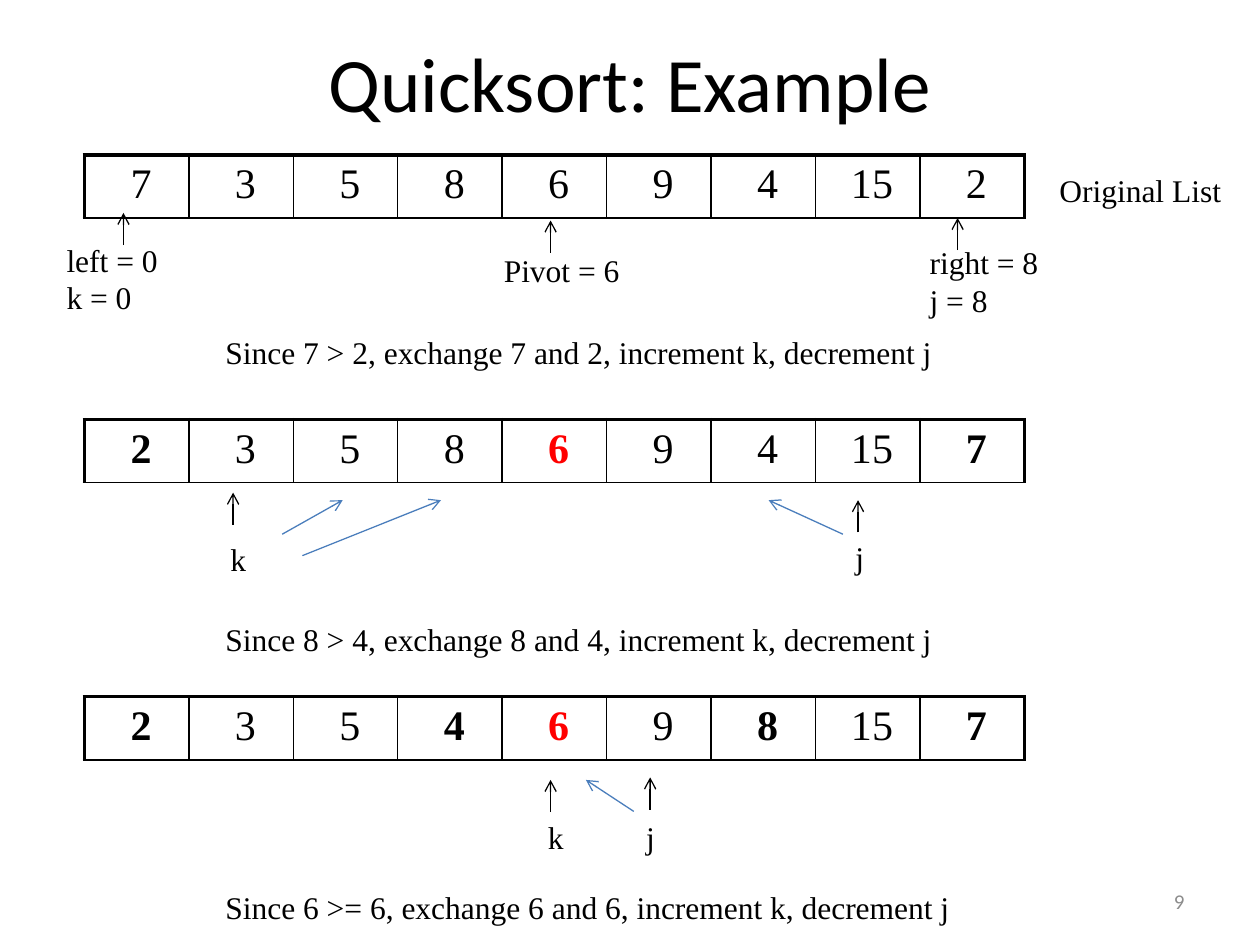
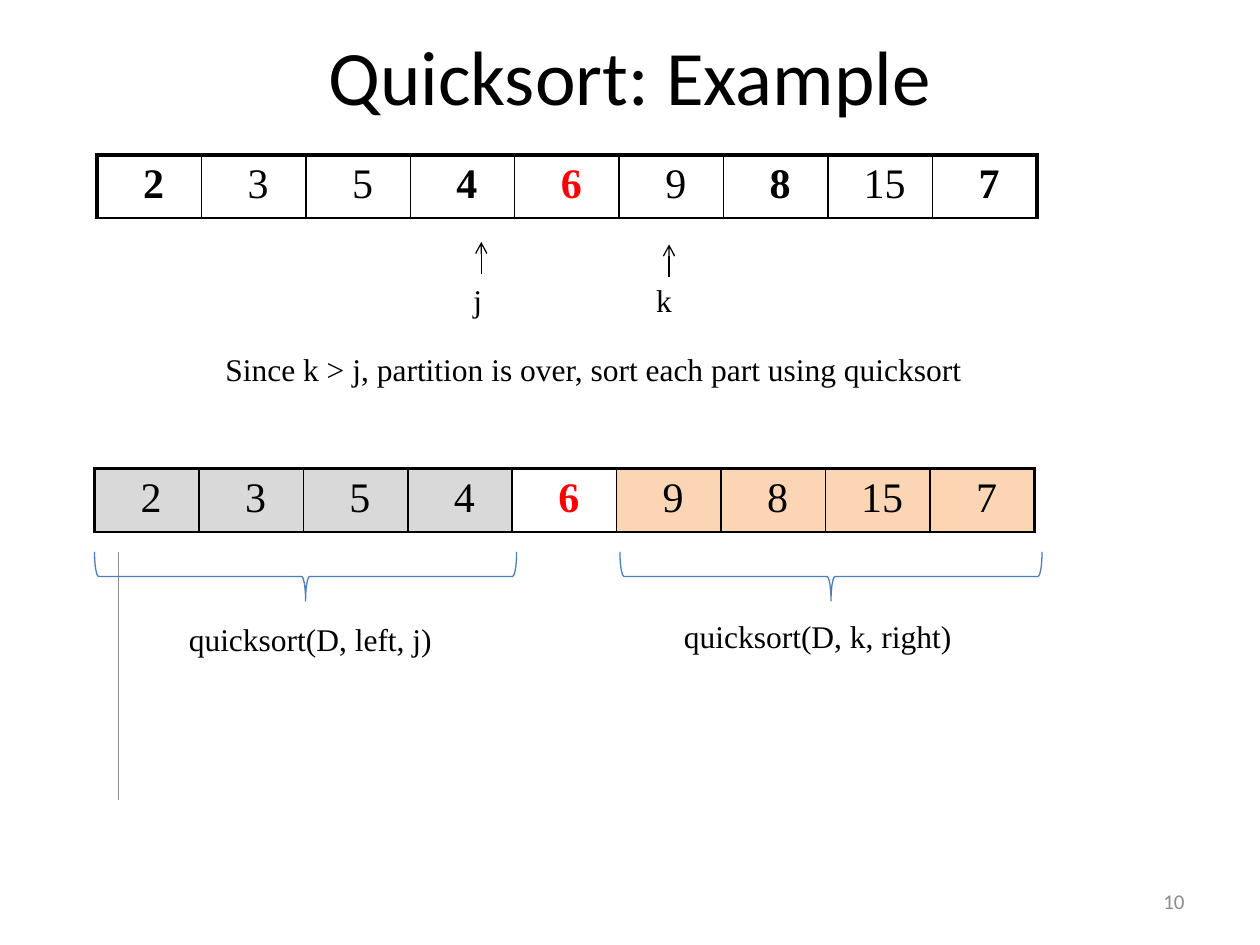
import pptx
import pptx.dml.color
import pptx.enum.shapes
import pptx.enum.text
import pptx.oxml
import pptx.oxml.ns
import pptx.util

COLUMNS, ROWS = 100, 75
BLACK, RED, BLUE, GREY = "000000", "FF0000", "4B7EBC", "8C8C8C"
LOW_PART, HIGH_PART = "D9D9D9", "FCD5B5"
SERIF, SANS = "Times New Roman", "Calibri"
ALIGN = pptx.enum.text.PP_ALIGN
ANCHOR = pptx.enum.text.MSO_ANCHOR
SHAPE = pptx.enum.shapes.MSO_SHAPE
STRAIGHT = pptx.enum.shapes.MSO_CONNECTOR.STRAIGHT
CELL, CELL_HEIGHT = 8.29, 5
PIVOT = 4


def rgb(value):
    return pptx.dml.color.RGBColor.from_string(value)


def xml(text):
    return pptx.oxml.parse_xml(text.replace(">", f" {pptx.oxml.ns.nsdecls('a')}>", 1))


class Deck:
    """Style and current slide; lengths are columns and rows of the slide grid."""

    def __init__(self):
        self.prs = pptx.Presentation()
        self.prs.slide_width = pptx.util.Inches(10)
        self.prs.slide_height = pptx.util.Inches(7.5)
        self.slide = None

    def x(self, columns):
        return round(self.prs.slide_width * columns / COLUMNS)

    def y(self, rows):
        return round(self.prs.slide_height * rows / ROWS)

    def box(self, x, y, w, h):
        return self.x(x), self.y(y), self.x(w), self.y(h)

    def start(self, title, title_height, number):
        self.slide = self.prs.slides.add_slide(self.prs.slide_layouts[6])
        self.text(71.7, 69.5, str(number), 23.3, 4, 12, SANS, GREY, ALIGN.RIGHT, ANCHOR.MIDDLE)
        self.text(5, 1.3, title, 90, title_height, 44, SANS, BLACK, ALIGN.CENTER, ANCHOR.MIDDLE)

    def style(self, p, size, font, color, bold=False):
        p.font.size = pptx.util.Pt(size)
        p.font.name = font
        p.font.bold = bold
        p.font.color.rgb = rgb(color)

    def text(self, x, y, words, w=15.4, h=3.8, size=18, font=SERIF, color=BLACK,
             align=ALIGN.LEFT, anchor=ANCHOR.TOP):
        tf = self.slide.shapes.add_textbox(*self.box(x, y, w, h)).text_frame
        tf.word_wrap = True
        tf.vertical_anchor = anchor
        tf.text = words
        for p in tf.paragraphs:
            p.alignment = align
            self.style(p, size, font, color)

    def label(self, x, y, name):
        self.text(x, y, name, w=4.4)

    def step(self, y, words):
        self.text(16.9, y, words, w=66.1)

    def line(self, start, end, color=BLACK, width=0.75, arrow=True):
        sp = self.slide.shapes.add_connector(
            STRAIGHT, self.x(start[0]), self.y(start[1]), self.x(end[0]), self.y(end[1]))
        sp.line.color.rgb = rgb(color)
        sp.line.width = pptx.util.Pt(width)
        if arrow:
            sp.line._get_or_add_ln().append(xml('<a:tailEnd type="arrow"></a:tailEnd>'))
        sp._element.spPr.append(xml("<a:effectLst></a:effectLst>"))

    def pointer(self, x, tip):
        """Short upright arrow to an array cell."""
        self.line((x, tip + 2.55), (x, tip))

    def move(self, start, end):
        """Arrow for an index that moves on."""
        self.line(start, end, BLUE)

    def brace(self, x, y, length, depth):
        """Brace below a part of an array, pointing down."""
        sp = self.slide.shapes.add_shape(SHAPE.RIGHT_BRACE, *self.box(
            x + (length - depth) / 2, y - (length - depth) / 2, depth, length))
        sp.rotation = 90
        sp.shadow.inherit = False
        sp.fill.background()
        sp.line.color.rgb = rgb(BLUE)
        sp.line.width = pptx.util.Pt(0.75)

    def borders(self, cell, **widths):
        tcPr = cell._tc.get_or_add_tcPr()
        for i, side in enumerate("LRTB"):
            width = pptx.util.Pt(widths.get(side, 1))
            tcPr.insert(i, xml(f'<a:ln{side} w="{width}"><a:solidFill><a:srgbClr val="{BLACK}"/>'
                               f'</a:solidFill></a:ln{side}>'))

    def array(self, x, y, values, bold=(), pivot=None, fills=None):
        """One-row table; bold and pivot are indexes, fills maps an index to a colour."""
        fills = fills or {}
        last = len(values) - 1
        table = self.slide.shapes.add_table(
            1, len(values), *self.box(x, y, CELL * len(values), CELL_HEIGHT)).table
        table.first_row = table.horz_banding = False
        for i, value in enumerate(values):
            table.columns[i].width = self.x(CELL)
            cell = table.cell(0, i)
            cell.margin_left = pptx.util.Inches(0.17)
            if i in fills:
                cell.fill.solid()
                cell.fill.fore_color.rgb = rgb(fills[i])
            else:
                cell.fill.background()
            p = cell.text_frame.paragraphs[0]
            p.text = str(value)
            p.alignment = ALIGN.CENTER
            p.space_before = pptx.util.Pt(4.8)
            self.style(p, 24, SERIF, RED if i == pivot else BLACK, i in bold or i == pivot)
            self.borders(cell, T=2.25, L=2.25 if i == 0 else 1, R=2.25 if i == last else 1)


def exchanges(deck):
    deck.start("Quicksort: Example", 10.3, 9)
    left = 6.7

    deck.array(left, 12.3, [7, 3, 5, 8, 6, 9, 4, 15, 2])
    deck.text(83.1, 13.1, "Original List")
    deck.text(72.8, 18.8, "right = 8\nj = 8", h=7.7)
    deck.text(39, 19.4, "Pivot = 6")
    deck.text(4.3, 18.6, "left = 0\nk = 0", h=7.9)
    for x, tip in ((9.8, 16.9), (76, 17.3), (43.7, 17.5)):
        deck.pointer(x, tip)
    deck.step(25.9, "Since 7 > 2, exchange 7 and 2, increment k, decrement j")

    deck.array(left, 33.3, [2, 3, 5, 8, 6, 9, 4, 15, 7], bold=(0, 8), pivot=PIVOT)
    deck.label(17.3, 42.4, "k")
    deck.label(66.9, 42.2, "j")
    deck.pointer(18.5, 39.1)
    deck.pointer(68.1, 39.7)
    for start, end_x in (((22.4, 42.4), 27.2), ((24, 44.1), 35), ((66.9, 42.4), 61)):
        deck.move(start, (end_x, 39.7))
    deck.step(48.7, "Since 8 > 4, exchange 8 and 4, increment k, decrement j")

    deck.array(left, 55.3, [2, 3, 5, 4, 6, 9, 8, 15, 7], bold=(0, 3, 6, 8), pivot=PIVOT)
    deck.label(42.5, 64.4, "k")
    deck.label(50.3, 64.4, "j")
    deck.pointer(43.7, 61.9)
    deck.pointer(51.6, 61.7)
    deck.move((50.3, 64.4), (46.5, 61.9))
    deck.step(70, "Since 6 >= 6, exchange 6 and 6, increment k, decrement j")


def partition(deck):
    deck.start("Quicksort: Example", 9.3, 10)
    values = [2, 3, 5, 4, 6, 9, 8, 15, 7]

    deck.array(7.7, 12.3, values, bold=(0, 3, 6, 8), pivot=PIVOT)
    deck.label(51.1, 21.8, "k")
    deck.label(36.6, 21.8, "j")
    deck.pointer(38.2, 19.2)
    deck.pointer(53.1, 19.4)
    deck.step(27.3, "Since k > j, partition is over, sort each part using quicksort")

    fills = {i: LOW_PART if i < PIVOT else HIGH_PART for i in range(len(values)) if i != PIVOT}
    deck.array(7.5, 37.2, values, pivot=PIVOT, fills=fills)
    deck.line((9.4, 43.8), (9.4, 63.5), GREY, 0.25, arrow=False)
    for x in (7.5, 49.2):
        deck.brace(x, 43.8, 33.5, 3.9)
    deck.text(14, 48.7, "quicksort(D, left, j)", w=21.9, h=4.9)
    deck.text(53.3, 48.5, "quicksort(D, k, right)", w=27.4, h=4.9)


def main():
    deck = Deck()
    exchanges(deck)
    partition(deck)
    deck.prs.save("out.pptx")


if __name__ == "__main__":
    main()
